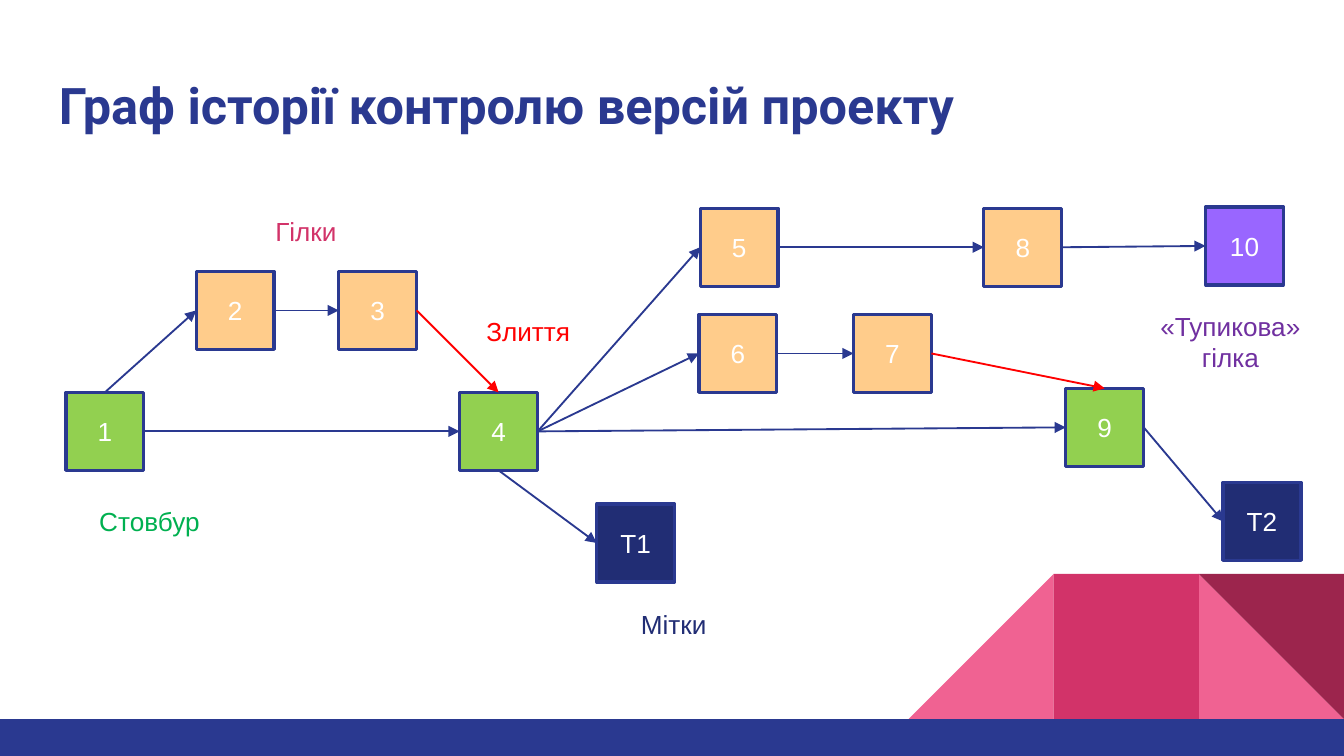
from lxml.etree import SubElement
from pptx import Presentation
from pptx.dml.color import RGBColor
from pptx.enum.shapes import MSO_CONNECTOR, MSO_SHAPE
from pptx.enum.text import MSO_ANCHOR, PP_ALIGN
from pptx.oxml.ns import qn
from pptx.util import Inches, Pt

NAVY, RED, WHITE = "2A3990", "FF0000", "FFFFFF"
TRUNK, BRANCH, DEAD, TAG = "92D050", "FFCC8B", "9966FF", "212D74"
PINK, ROSE, WINE = "F06292", "D23369", "9C254D"
SIDE = 0.58
TOP, LEFT, BOTTOM, RIGHT = range(4)
BODY = {"name": "Arial", "size": Pt(14)}
HEAD = {"name": "Roboto", "size": Pt(27), "bold": True}

NODES = [
    ("1", 0.49, 2.92, TRUNK),
    ("2", 1.46, 2.02, BRANCH),
    ("3", 2.52, 2.02, BRANCH),
    ("4", 3.42, 2.92, TRUNK),
    ("Т1", 4.44, 3.75, TAG),
    ("5", 5.21, 1.55, BRANCH),
    ("8", 7.32, 1.55, BRANCH),
    ("6", 5.2, 2.34, BRANCH),
    ("7", 6.35, 2.34, BRANCH),
    ("9", 7.93, 2.89, TRUNK),
    ("10", 8.97, 1.54, DEAD),
    ("Т2", 9.1, 3.59, TAG),
]
EDGES = [
    ("1", RIGHT, "4", LEFT, NAVY),
    ("1", TOP, "2", LEFT, NAVY),
    ("2", RIGHT, "3", LEFT, NAVY),
    ("3", RIGHT, "4", TOP, RED),
    ("4", BOTTOM, "Т1", LEFT, NAVY),
    ("4", RIGHT, "5", LEFT, NAVY),
    ("4", RIGHT, "6", LEFT, NAVY),
    ("6", RIGHT, "7", LEFT, NAVY),
    ("5", RIGHT, "8", LEFT, NAVY),
    ("8", RIGHT, "10", LEFT, NAVY),
    ("7", RIGHT, "9", TOP, RED),
    ("4", RIGHT, "9", LEFT, NAVY),
    ("9", RIGHT, "Т2", LEFT, NAVY),
]
LABELS = [
    ("Гілки", 1.95, 1.55, 0.66, 0.34, ROSE),
    ("Злиття", 3.52, 2.3, 0.83, 0.34, RED),
    ("Стовбур", 0.64, 3.71, 0.97, 0.34, "00B050"),
    ("«Тупикова»\nгілка", 8.51, 2.26, 1.29, 0.57, "7030A0"),
    ("Мітки", 4.67, 4.48, 0.69, 0.34, TAG),
]


def paint(item, color):
    """Give a fill or a font a solid colour."""
    if hasattr(item, "solid"):
        item.solid()
        item.fore_color.rgb = RGBColor.from_string(color)
    else:
        item.color.rgb = RGBColor.from_string(color)


def write(shape, text, color, font, align):
    frame = shape.text_frame
    frame.text = text
    for para in frame.paragraphs:
        para.alignment = align
        for run in para.runs:
            for key, value in font.items():
                setattr(run.font, key, value)
            paint(run.font, color)
    return frame


def add_block(slide, kind, box, color, turn=0):
    shape = slide.shapes.add_shape(kind, *map(Inches, box))
    shape.shadow.inherit = False
    shape.rotation = turn
    paint(shape.fill, color)
    shape.line.fill.background()
    return shape


def add_node(slide, name, left, top, color):
    node = add_block(slide, MSO_SHAPE.RECTANGLE, (left, top, SIDE, SIDE), color)
    paint(node.line.fill, NAVY)
    node.line.width = Pt(1.75)
    frame = write(node, name, WHITE, BODY, PP_ALIGN.CENTER)
    frame.vertical_anchor = MSO_ANCHOR.MIDDLE
    return node


def add_edge(slide, start, exit, end, entry, color):
    """Join two nodes by an arrow between the given sides."""
    edge = slide.shapes.add_connector(MSO_CONNECTOR.STRAIGHT, 0, 0, 0, 0)
    edge.begin_connect(start, exit)
    edge.end_connect(end, entry)
    paint(edge.line.fill, color)
    edge.line.width = Pt(1)
    props = edge.element.spPr
    SubElement(props.find(qn("a:ln")), qn("a:tailEnd"), type="triangle")
    SubElement(props, qn("a:effectLst"))


def add_label(slide, text, left, top, width, height, color):
    box = slide.shapes.add_textbox(*map(Inches, (left, top, width, height)))
    align = PP_ALIGN.CENTER if "\n" in text else PP_ALIGN.LEFT
    write(box, text, color, BODY, align).word_wrap = False


def add_title(slide, text):
    box = slide.shapes.add_textbox(*map(Inches, (0.34, 0.45, 9.32, 0.66)))
    frame = write(box, text, NAVY, HEAD, PP_ALIGN.LEFT)
    frame.word_wrap = True
    frame.margin_top = frame.margin_bottom = Inches(0.1)


def add_decor(slide):
    """Draw the folded ribbon in the corner and the bar below it."""
    size, base = 1.08, 5.35
    wedge, square = MSO_SHAPE.RIGHT_TRIANGLE, MSO_SHAPE.RECTANGLE
    parts = [(1, wedge, PINK, 0), (3, wedge, PINK, 270),
             (2, square, ROSE, 0), (1, wedge, WINE, 180)]
    for col, kind, color, turn in parts:
        box = (10 - col * size, base - size, size, size)
        add_block(slide, kind, box, color, turn)
    add_block(slide, square, (0, base, 10, 0.28), NAVY)


def main():
    deck = Presentation()
    deck.slide_width = Inches(10)
    deck.slide_height = deck.slide_width * 9 // 16
    slide = deck.slides.add_slide(deck.slide_layouts[6])
    add_decor(slide)
    add_title(slide, "Граф історії контролю версій проекту")
    nodes = {node[0]: add_node(slide, *node) for node in NODES}
    for start, exit, end, entry, color in EDGES:
        add_edge(slide, nodes[start], exit, nodes[end], entry, color)
    for label in LABELS:
        add_label(slide, *label)
    deck.save("out.pptx")


if __name__ == "__main__":
    main()
